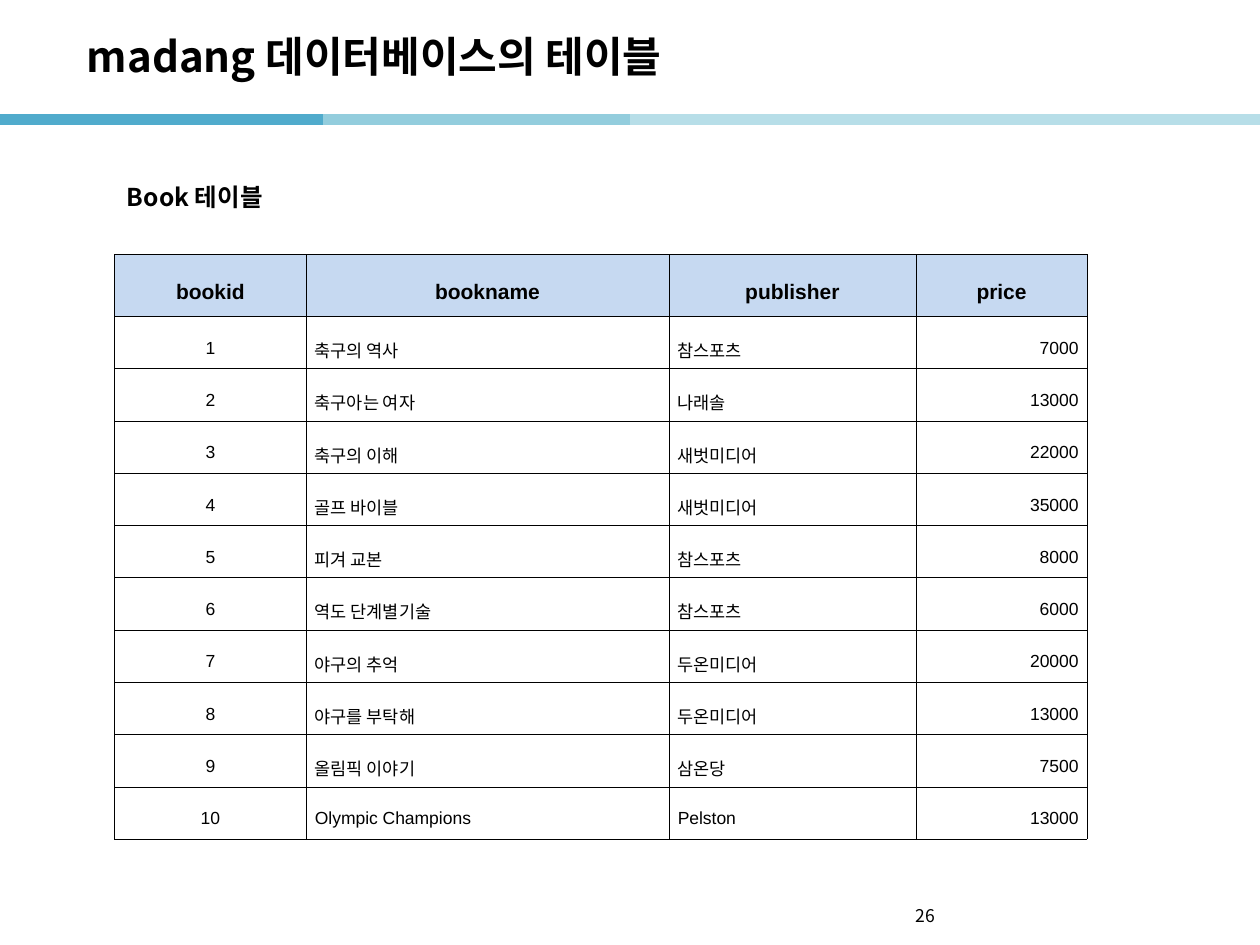
from lxml import etree
from pptx import Presentation
from pptx.dml.color import RGBColor
from pptx.enum.shapes import MSO_CONNECTOR
from pptx.enum.text import MSO_ANCHOR, PP_ALIGN
from pptx.oxml.ns import qn
from pptx.util import Inches, Pt

STRAIGHT = MSO_CONNECTOR.STRAIGHT
TOP, MIDDLE = MSO_ANCHOR.TOP, MSO_ANCHOR.MIDDLE
LEFT, CENTER, RIGHT = PP_ALIGN.LEFT, PP_ALIGN.CENTER, PP_ALIGN.RIGHT

# The slide is a grid of 100 columns and 75 rows of square units.
COLUMNS, ROWS, UNIT = 100, 75, 0.1

COLORS = {
    "text": "000000",
    "border": "000000",
    "header": "C6D9F1",
    "stripe_dark": "50ABCC",
    "stripe_medium": "93CDDD",
    "stripe_light": "B7DEE8",
}

HEADERS = ["bookid", "bookname", "publisher", "price"]
BOOKS = [
    ("축구의 역사", "참스포츠", 7000),
    ("축구아는 여자", "나래솔", 13000),
    ("축구의 이해", "새벗미디어", 22000),
    ("골프 바이블", "새벗미디어", 35000),
    ("피겨 교본", "참스포츠", 8000),
    ("역도 단계별기술", "참스포츠", 6000),
    ("야구의 추억", "두온미디어", 20000),
    ("야구를 부탁해", "두온미디어", 13000),
    ("올림픽 이야기", "삼온당", 7500),
    ("Olympic Champions", "Pelston", 13000),
]
COLUMN_WIDTHS = [15.2, 28.8, 19.6, 13.6]
COLUMN_ALIGNMENTS = [CENTER, LEFT, LEFT, RIGHT]
TABLE_HEIGHT, HEADER_HEIGHT = 46.4, 4.9


def grid(*units):
    return [Inches(unit * UNIT) for unit in units]


def set_attributes(target, values):
    for name, value in values.items():
        setattr(target, name, value)


class SlideBuilder:
    korean_font = "Noto Sans CJK KR"
    table_font = "Arial"
    border_width = Pt(0.28)

    def __init__(self, slide):
        self.slide = slide

    def fill_frame(self, frame, text, size, font, bold=False, **paragraph_format):
        paragraph = frame.paragraphs[0]
        set_attributes(paragraph, paragraph_format)
        run = paragraph.add_run()
        run.text = text
        set_attributes(run.font, {"size": Pt(size), "name": font, "bold": bold})
        run.font.color.rgb = RGBColor.from_string(COLORS["text"])
        east_asian = etree.SubElement(run.font._element, qn("a:ea"))
        east_asian.set("typeface", self.korean_font)

    def text(self, text, box, size, bold=False, **frame_format):
        frame = self.slide.shapes.add_textbox(*grid(*box)).text_frame
        set_attributes(frame, {"word_wrap": True, **frame_format})
        self.fill_frame(frame, text, size, self.korean_font, bold)

    def stripe(self, start, length, row, color, width=6):
        line = self.slide.shapes.add_connector(
            STRAIGHT, *grid(start, row, start + length, row))
        line.line.color.rgb = RGBColor.from_string(COLORS[color])
        line.line.width = Pt(width)
        etree.SubElement(line._element.spPr, qn("a:effectLst"))

    def border(self, cell):
        properties = cell._tc.get_or_add_tcPr()
        for index, side in enumerate(("lnL", "lnR", "lnT", "lnB")):
            line = etree.Element(qn(f"a:{side}"), w=str(self.border_width))
            fill = etree.SubElement(line, qn("a:solidFill"))
            etree.SubElement(fill, qn("a:srgbClr"), val=COLORS["border"])
            properties.insert(index, line)

    def cell(self, cell, text, alignment, is_header):
        set_attributes(cell, {
            "vertical_anchor": MIDDLE,
            "margin_left": Inches(0.07), "margin_right": Inches(0.07),
            "margin_top": Inches(0.02), "margin_bottom": Inches(0.02),
        })
        if is_header:
            cell.fill.solid()
            cell.fill.fore_color.rgb = RGBColor.from_string(COLORS["header"])
        else:
            cell.fill.background()
        self.border(cell)
        self.fill_frame(cell.text_frame, text, 12 if is_header else 10,
                        self.table_font, is_header,
                        alignment=alignment, line_spacing=1.6)

    def table(self, rows, left, top):
        table = self.slide.shapes.add_table(
            len(rows), len(COLUMN_WIDTHS),
            *grid(left, top, sum(COLUMN_WIDTHS), TABLE_HEIGHT)).table
        set_attributes(table, {"first_row": False, "horz_banding": False})
        for column, width in zip(table.columns, grid(*COLUMN_WIDTHS)):
            column.width = width
        body_height = (TABLE_HEIGHT - HEADER_HEIGHT) / (len(rows) - 1)
        for row_index, values in enumerate(rows):
            is_header = row_index == 0
            row = table.rows[row_index]
            row.height, = grid(HEADER_HEIGHT if is_header else body_height)
            for cell, value, alignment in zip(row.cells, values, COLUMN_ALIGNMENTS):
                self.cell(cell, str(value), CENTER if is_header else alignment, is_header)


def main():
    presentation = Presentation()
    presentation.slide_width, presentation.slide_height = grid(COLUMNS, ROWS)
    builder = SlideBuilder(presentation.slides.add_slide(presentation.slide_layouts[6]))

    stripe_length = 25.6
    stripes = [
        (0, "stripe_dark"),
        (stripe_length, "stripe_medium"),
        (COLUMNS / 2, "stripe_light"),
        (COLUMNS - stripe_length, "stripe_light"),
    ]
    for start, color in stripes:
        builder.stripe(start, stripe_length, 9.5, color)

    builder.text("madang 데이터베이스의 테이블", (5.9, 2.2, 82.7, 6), 24, bold=True,
                 vertical_anchor=TOP, margin_top=Inches(0.02))
    rows = [HEADERS] + [(number, *book) for number, book in enumerate(BOOKS, 1)]
    builder.table(rows, 9.1, 20.2)
    builder.text("Book 테이블", (9.1, 13.8, 24.7, 3.6), 14, bold=True,
                 vertical_anchor=MIDDLE)
    builder.text("26", (71.7, 71.3, 23.3, 2.8), 10)

    presentation.save("out.pptx")


if __name__ == "__main__":
    main()
